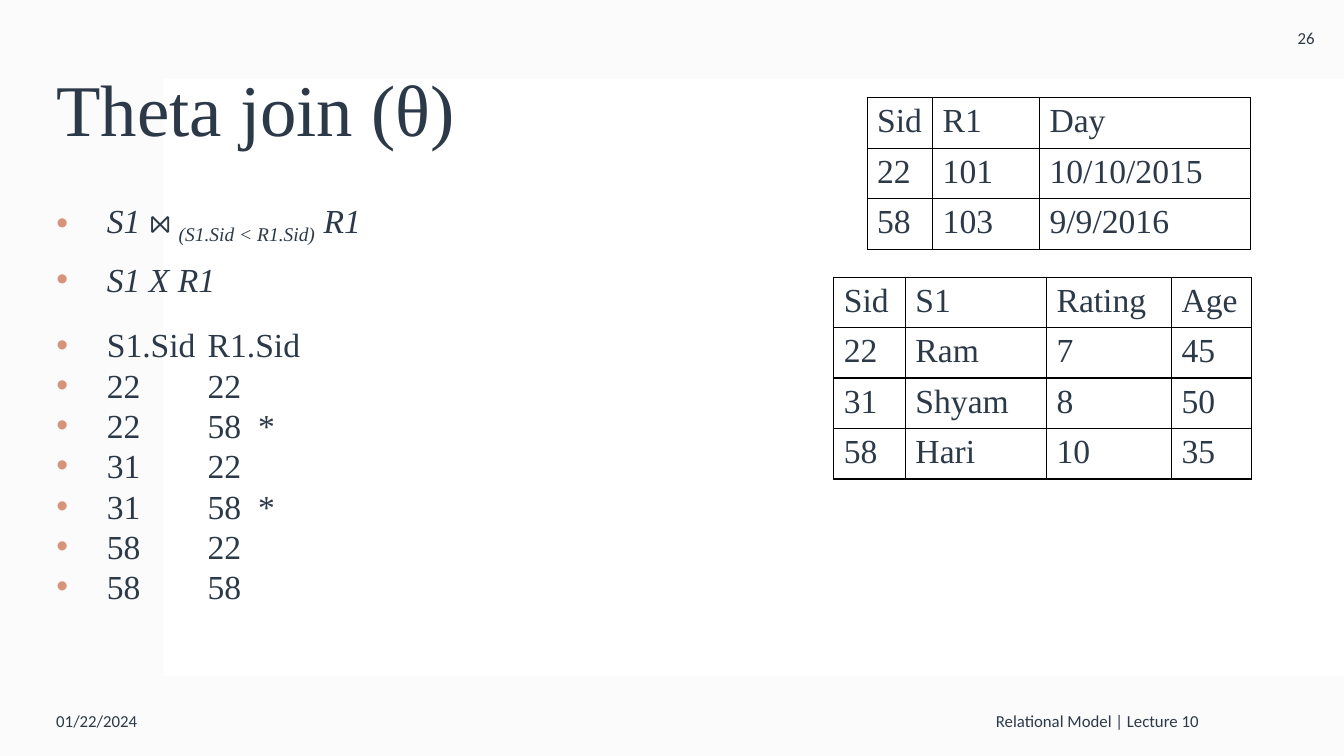
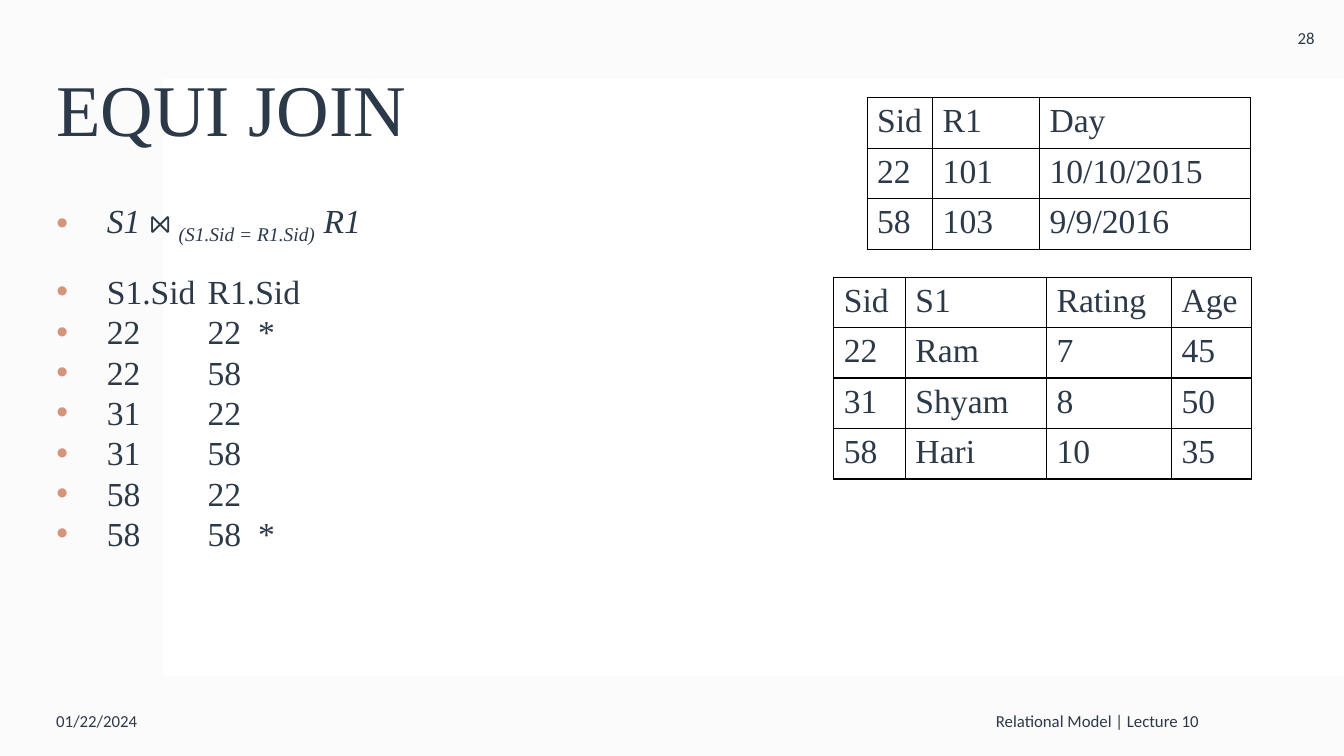
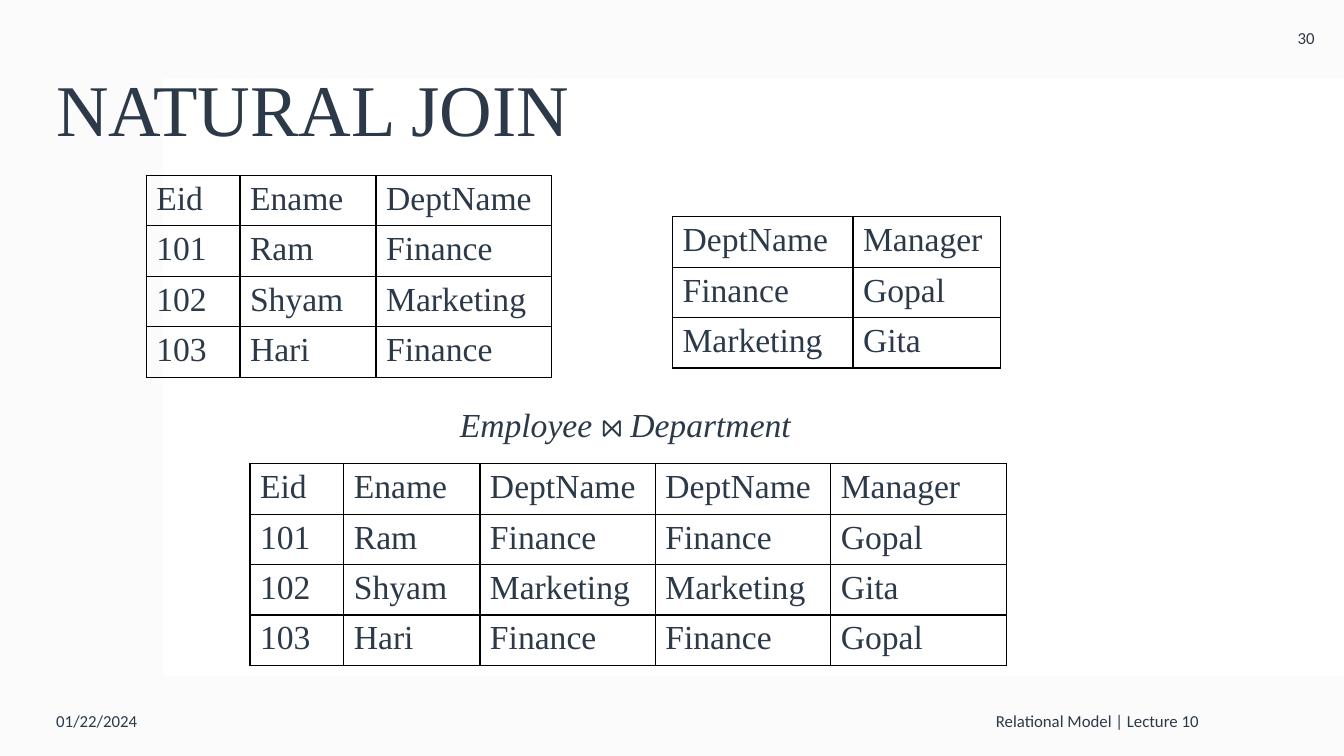
from dataclasses import dataclass

from lxml.etree import SubElement
from pptx import Presentation
from pptx.dml.color import RGBColor
from pptx.enum.shapes import MSO_SHAPE as Preset
from pptx.enum.text import MSO_ANCHOR as Anchor, MSO_AUTO_SIZE as AutoSize, PP_ALIGN as Align
from pptx.oxml.ns import qn
from pptx.util import Inches, Pt

INK, ACCENT, BAND, PAPER, BORDER = "2C3948", "D6947C", "F4F4F4", "FFFFFF", "000000"
SERIF, SANS = "Times New Roman", "Calibri"
SLIDE_WIDTH, SLIDE_HEIGHT = 13.33, 7.5
ROW_HEIGHT = 0.47
MARGIN = 0.46


@dataclass(frozen=True)
class Box:
    """A rectangle in inches."""

    left: float
    top: float
    width: float
    height: float

    def lengths(self):
        """Return the four sides as slide lengths."""
        return [Inches(side) for side in (self.left, self.top, self.width, self.height)]


@dataclass(frozen=True)
class Band:
    """A background rectangle with its opacity in percent."""

    box: Box
    fill: str
    opacity: int


@dataclass(frozen=True)
class Relation:
    """A relation drawn as a bordered table."""

    left: float
    top: float
    columns: list[float]
    rows: list[str]


@dataclass(frozen=True)
class Footer:
    """A small text at the edge of each slide."""

    box: Box
    text: str
    align: Align


@dataclass(frozen=True)
class Line:
    """A body line made of plain and subscript terms."""

    terms: list[str]
    italic: bool = False
    before: float = 0
    spacing: float = 28.8
    bullet: bool = True


@dataclass(frozen=True)
class JoinSlide:
    """The content of one slide on a join."""

    number: int
    title: str
    body: Box
    lines: list[Line]
    relations: list[Relation]


BANDS = [
    Band(Box(0, 0, SLIDE_WIDTH, SLIDE_HEIGHT), BAND, 35),
    Band(Box(1.62, 0.78, 11.71, 5.93), PAPER, 100),
]
TITLE_BOX = Box(MARGIN, 0.4, 11.53, 1.45)
LIST_BOX = Box(MARGIN, 2, 11.53, 4.8)
FOOTERS = [
    Footer(Box(MARGIN, 6.8, 3, 0.7), "01/22/2024", Align.LEFT),
    Footer(Box(4.12, 6.8, 7.87, 0.7), "Relational Model | Lecture 10", Align.RIGHT),
]
NUMBER_BOX = Box(12.58, 0, 0.75, 0.75)

SAILORS = [
    Relation(8.6, 0.97, [0.65, 1.06, 2.09], ["Sid R1 Day", "22 101 10/10/2015", "58 103 9/9/2016"]),
    Relation(8.27, 2.75, [0.71, 1.4, 1.24, 0.79],
             ["Sid S1 Rating Age", "22 Ram 7 45", "31 Shyam 8 50", "58 Hari 10 35"]),
]
DEPARTMENTS = [
    Relation(1.45, 1.74, [0.93, 1.35, 1.74],
             ["Eid Ename DeptName", "101 Ram Finance", "102 Shyam Marketing", "103 Hari Finance"]),
    Relation(6.67, 2.15, [1.79, 1.46], ["DeptName Manager", "Finance Gopal", "Marketing Gita"]),
    Relation(2.48, 4.6, [0.93, 1.35, 1.74, 1.74, 1.74],
             ["Eid Ename DeptName DeptName Manager", "101 Ram Finance Finance Gopal",
              "102 Shyam Marketing Marketing Gita", "103 Hari Finance Finance Gopal"]),
]


def condition(operator: str) -> Line:
    """Return the join expression with its subscript condition."""
    return Line(["S1 ⋈ ", f"(S1.Sid {operator} R1.Sid)", " R1"], italic=True, spacing=28)


def pairs(matches: set[tuple[int, int]]) -> list[Line]:
    """List the product of both Sid columns, starring the matches."""
    heading = Line(["S1.Sid\tR1.Sid"], before=18)
    return [heading] + [
        Line([f"{s1}\t\t{r1}" + ("\t*" if (s1, r1) in matches else "")])
        for s1 in (22, 31, 58) for r1 in (22, 58)
    ]


SLIDES = [
    JoinSlide(26, "Theta join (θ)", LIST_BOX,
              [condition("<"), Line(["S1 X R1"], italic=True, before=10, spacing=28),
               *pairs({(22, 58), (31, 58)})], SAILORS),
    JoinSlide(28, "EQUI JOIN", LIST_BOX, [condition("="), *pairs({(22, 22), (58, 58)})], SAILORS),
    JoinSlide(30, "NATURAL JOIN", Box(4.46, 3.97, 7.53, 0.5),
              [Line(["Employee ⋈ Department"], italic=True, spacing=28, bullet=False)],
              DEPARTMENTS),
]


def color(value: str) -> RGBColor:
    """Turn a hex string into a colour."""
    return RGBColor.from_string(value)


def style(font, name: str, size: float, italic: bool = False) -> None:
    """Set the face, size, slant and ink of a font."""
    font.name, font.size, font.italic = name, Pt(size), italic
    font.color.rgb = color(INK)


def place(shape, box: Box) -> None:
    """Move a shape to a box."""
    shape.left, shape.top, shape.width, shape.height = box.lengths()


def add_bands(slide) -> None:
    """Draw the background bands on the layout of a slide."""
    tree = slide.slide_layout.shapes.element
    for index, band in enumerate(BANDS):
        shape = slide.shapes.add_shape(Preset.RECTANGLE, *band.box.lengths())
        shape.shadow.inherit = False
        shape.line.fill.background()
        shape.fill.solid()
        shape.fill.fore_color.rgb = color(band.fill)
        tint = shape.element.spPr.find(qn("a:solidFill")).find(qn("a:srgbClr"))
        SubElement(tint, qn("a:alpha"), val=str(band.opacity * 1000))
        shape.element.nvSpPr.cNvPr.set("id", str(20 + index))
        tree.insert(2 + index, shape.element)


def set_title(slide, text: str) -> None:
    """Fill the title placeholder."""
    title = slide.shapes.title
    place(title, TITLE_BOX)
    frame = title.text_frame
    frame.text = text
    frame.auto_size, frame.vertical_anchor = AutoSize.NONE, Anchor.MIDDLE
    heading = frame.paragraphs[0]
    heading.alignment, heading.line_spacing = Align.LEFT, 0.9
    style(heading.runs[0].font, SERIF, 52)


def set_bullet(paragraph, shown: bool) -> None:
    """Give a paragraph its hanging bullet, or none."""
    properties = paragraph._p.get_or_add_pPr()
    indent = Inches(0.5) if shown else 0
    properties.set("marL", str(indent))
    properties.set("indent", str(-indent))
    if shown:
        SubElement(SubElement(properties, qn("a:buClr")), qn("a:srgbClr"), val=ACCENT)
        SubElement(properties, qn("a:buChar"), char="•")
    else:
        SubElement(properties, qn("a:buNone"))


def set_body(slide, box: Box, lines: list[Line]) -> None:
    """Fill the body placeholder."""
    body = slide.placeholders[1]
    place(body, box)
    frame = body.text_frame
    frame.auto_size, frame.vertical_anchor = AutoSize.NONE, Anchor.TOP
    for index, line in enumerate(lines):
        paragraph = frame.add_paragraph() if index else frame.paragraphs[0]
        set_bullet(paragraph, line.bullet)
        paragraph.line_spacing, paragraph.space_before = Pt(line.spacing), Pt(line.before)
        for term in line.terms:
            run = paragraph.add_run()
            run.text = term
            style(run.font, SERIF, 24, line.italic)
            if term.startswith("("):
                run._r.get_or_add_rPr().set("baseline", "-25000")


def add_footer(slide, footer: Footer) -> None:
    """Add one edge text."""
    frame = slide.shapes.add_textbox(*footer.box.lengths()).text_frame
    frame.word_wrap, frame.vertical_anchor = True, Anchor.MIDDLE
    frame.text = footer.text
    paragraph = frame.paragraphs[0]
    paragraph.alignment = footer.align
    style(paragraph.runs[0].font, SANS, 12)


def set_borders(cell) -> None:
    """Draw the four thin borders of a cell."""
    properties = cell._tc.get_or_add_tcPr()
    for side in ("lnL", "lnR", "lnT", "lnB"):
        edge = SubElement(properties, qn(f"a:{side}"), w=str(Pt(1)))
        SubElement(SubElement(edge, qn("a:solidFill")), qn("a:srgbClr"), val=BORDER)


def add_relation(slide, relation: Relation) -> None:
    """Add a relation as a table."""
    rows = [row.split() for row in relation.rows]
    box = Box(relation.left, relation.top, sum(relation.columns), ROW_HEIGHT * len(rows))
    table = slide.shapes.add_table(len(rows), len(relation.columns), *box.lengths()).table
    table.first_row = table.horz_banding = False
    for column, width in zip(table.columns, relation.columns):
        column.width = Inches(width)
    for row, values in zip(table.rows, rows):
        row.height = Inches(ROW_HEIGHT)
        for cell, value in zip(row.cells, values):
            set_borders(cell)
            cell.fill.background()
            cell.text = value
            style(cell.text_frame.paragraphs[0].runs[0].font, SERIF, 24)


def main() -> None:
    """Build the join slides."""
    deck = Presentation()
    deck.slide_width, deck.slide_height = Inches(SLIDE_WIDTH), Inches(SLIDE_HEIGHT)
    for index, content in enumerate(SLIDES):
        slide = deck.slides.add_slide(deck.slide_layouts[1])
        if index == 0:
            add_bands(slide)
        set_title(slide, content.title)
        set_body(slide, content.body, content.lines)
        for footer in [*FOOTERS, Footer(NUMBER_BOX, str(content.number), Align.CENTER)]:
            add_footer(slide, footer)
        for relation in content.relations:
            add_relation(slide, relation)
    deck.save("out.pptx")


if __name__ == "__main__":
    main()
